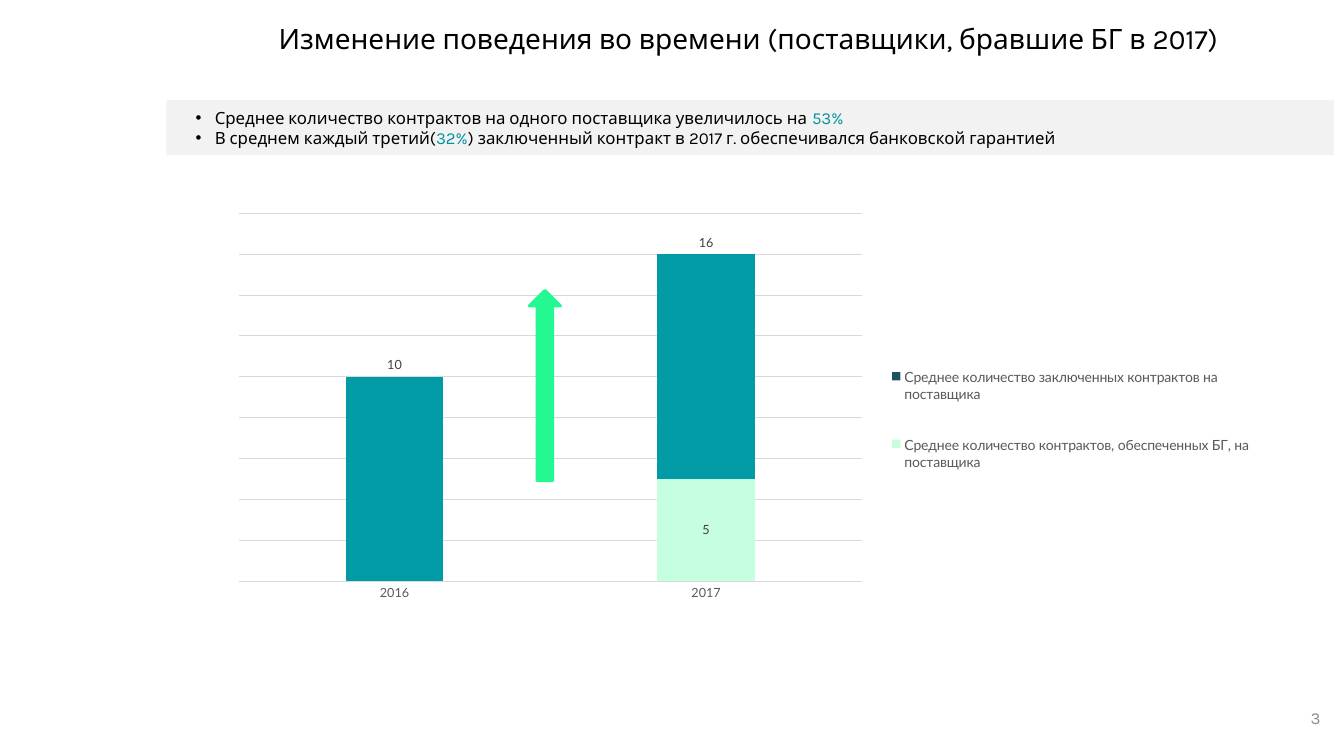
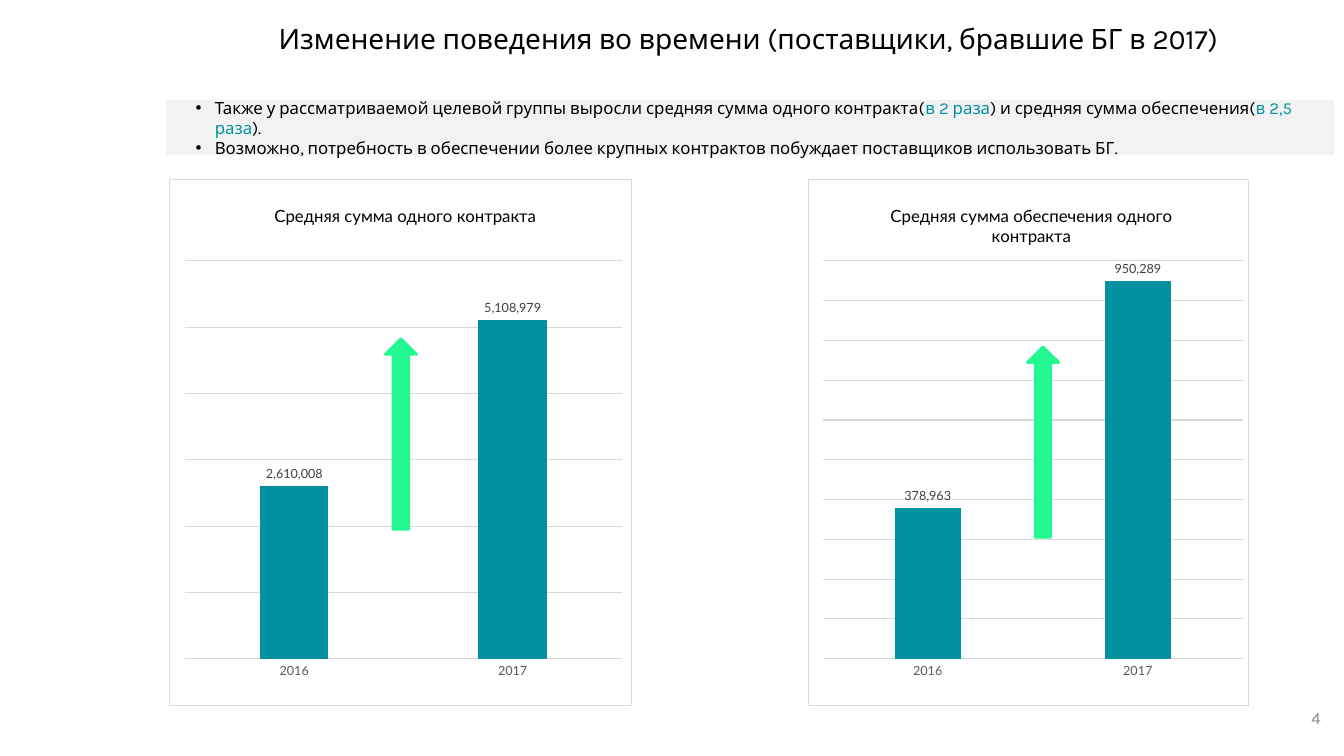
from lxml.etree import SubElement
from pptx import Presentation
from pptx.chart.data import CategoryChartData
from pptx.dml.color import RGBColor
from pptx.enum.chart import XL_CHART_TYPE, XL_LABEL_POSITION, XL_LEGEND_POSITION, XL_TICK_MARK
from pptx.enum.shapes import MSO_SHAPE
from pptx.enum.text import MSO_ANCHOR, MSO_AUTO_SIZE, PP_ALIGN
from pptx.oxml import parse_xml
from pptx.oxml.ns import nsdecls, qn
from pptx.util import Inches, Pt

color = RGBColor.from_string
TEXT_FONT, CHART_FONT = "Karla", "Lato"
BLACK, GRAY, LABEL, NUMBER = "000000", "595959", "404040", "8C8C8C"
BAND, RULE = "F2F2F2", "D9D9D9"
TEAL, BRIGHT_TEAL, NAVY, MINT, GREEN = "0291A0", "009BA5", "1E5260", "C5FFDF", "24F893"

TITLE = "Изменение поведения во времени (поставщики, бравшие БГ в 2017)"
FIRST_NUMBER = 3

# Text between bars is accented. Places are percentages of the slide.
PAGES = [
    {
        "points": [
            "Среднее количество контрактов на одного поставщика увеличилось на |53%|",
            "В среднем каждый третий(|32%|) заключенный контракт в 2017 г. "
            "обеспечивался банковской гарантией",
        ],
        "charts": [{
            "at": (15.15, 25.87, 79.14, 56),
            "plot": (0.033, 0.042, 0.586, 0.869),
            "series": [
                ("Среднее количество заключенных контрактов на поставщика", (10, 16), NAVY),
                ("Среднее количество контрактов, обеспеченных БГ, на поставщика", (None, 5), MINT),
            ],
            "top": 18, "step": 2,
        }],
        "arrows": [(39.38, 38.4)],
    },
    {
        "points": [
            "Также у рассматриваемой целевой группы выросли средняя сумма одного контракта("
            "|в 2 раза|) и средняя сумма обеспечения(|в 2,5 раза|).",
            "Возможно, потребность в обеспечении более крупных контрактов побуждает "
            "поставщиков использовать БГ.",
        ],
        "charts": [
            {
                "at": (12.6, 23.73, 34.43, 69.6),
                "plot": (0.033, 0.154, 0.946, 0.758),
                "title": "Средняя сумма одного контракта", "title_at": (0.22, 0.04),
                "series": [("Сумма контракта", (2610008, 5108979), TEAL)],
                "top": 6000000, "step": 1000000,
            },
            {
                "at": (60.09, 23.73, 32.86, 69.6),
                "plot": (0.033, 0.154, 0.954, 0.758),
                "title": "Средняя сумма обеспечения одного контракта", "title_at": (0.18, 0.04),
                "series": [("Сумма обеспечения", (378963, 950289), TEAL)],
                "top": 1000000, "step": 100000,
            },
        ],
        "arrows": [(28.66, 44.8), (76.44, 45.87)],
    },
]

deck = Presentation()
deck.slide_width, deck.slide_height = Inches(13.33), Inches(7.5)


def spot(left, top, width, height):
    """Turn percentages of the slide into lengths."""
    return [int(side * share / 100) for side, share in zip(
        (deck.slide_width, deck.slide_height) * 2, (left, top, width, height))]


def set_layout(element, index, *shares, inner=False):
    """Fix the place of a chart part; shares are x, y and optionally w, h."""
    for old in element.findall(qn("c:layout")):
        element.remove(old)
    layout = parse_xml(f'<c:layout {nsdecls("c")}><c:manualLayout/></c:layout>')
    manual = layout[0]
    if inner:
        SubElement(manual, qn("c:layoutTarget")).set("val", "inner")
    for name in ("xMode", "yMode"):
        SubElement(manual, qn(f"c:{name}")).set("val", "edge")
    for name, share in zip("xywh", shares):
        SubElement(manual, qn(f"c:{name}")).set("val", str(share))
    element.insert(index, layout)


for number, content in enumerate(PAGES, FIRST_NUMBER):
    page = deck.slides.add_slide(deck.slide_layouts[1])
    title, band = page.placeholders
    number_box = page.shapes.add_textbox(*spot(75.7, 92.27, 23.3, 5.33))

    title.left, title.top, title.width, title.height = spot(12.23, 0, 86.87, 10.13)
    band.left, band.top, band.width, band.height = spot(12.38, 13.2, 86.87, 7.33)
    band.fill.solid()
    band.fill.fore_color.rgb = color(BAND)

    for box, text, size, ink, align in (
        (title, TITLE, 20, BLACK, PP_ALIGN.CENTER),
        (number_box, str(number), 12, NUMBER, PP_ALIGN.RIGHT),
    ):
        box.text_frame.text = text
        para = box.text_frame.paragraphs[0]
        para.alignment = align
        font = para.runs[0].font
        font.name, font.size, font.color.rgb = TEXT_FONT, Pt(size), color(ink)
    for box in (title, band, number_box):
        frame = box.text_frame
        frame.word_wrap = True
        frame.auto_size = MSO_AUTO_SIZE.NONE
        frame.vertical_anchor = MSO_ANCHOR.MIDDLE

    for index, point in enumerate(content["points"]):
        frame = band.text_frame
        para = frame.add_paragraph() if index else frame.paragraphs[0]
        para.space_before = Pt(0)
        properties = para._p.get_or_add_pPr()
        properties.set("marL", str(Inches(0.38)))
        properties.set("indent", str(Inches(-0.19)))
        SubElement(properties, qn("a:buFont")).set("typeface", "Arial")
        SubElement(properties, qn("a:buChar")).set("char", "•")
        for part, text in enumerate(point.split("|")):
            if text:
                span = para.add_run()
                span.text = text
                span.font.name, span.font.size = TEXT_FONT, Pt(12)
                span.font.color.rgb = color(TEAL if part % 2 else BLACK)

    for item in content["charts"]:
        data = CategoryChartData()
        data.categories = ["2016", "2017"]
        for name, values, _ in item["series"]:
            data.add_series(name, values)
        chart = page.shapes.add_chart(
            XL_CHART_TYPE.COLUMN_CLUSTERED, *spot(*item["at"]), data).chart
        chart.font.name, chart.font.size = CHART_FONT, Pt(10)
        chart.font.color.rgb = color(BLACK)
        set_layout(chart._chartSpace.chart.plotArea, 0, *item["plot"], inner=True)

        titled = "title" in item
        chart.has_title = titled
        if titled:
            chart.chart_title.text_frame.text = item["title"]
            font = chart.chart_title.text_frame.paragraphs[0].runs[0].font
            font.name, font.size, font.bold = CHART_FONT, Pt(12), False
            font.color.rgb = color(BLACK)
            set_layout(chart.chart_title._element, 1, *item["title_at"])
        line_fill = (f'<a:solidFill><a:srgbClr val="{RULE}"/></a:solidFill>'
                     if titled else "<a:noFill/>")
        chart._chartSpace.chart.addnext(parse_xml(
            f'<c:spPr {nsdecls("c", "a")}><a:noFill/>'
            f'<a:ln w="{Pt(0.75)}">{line_fill}</a:ln></c:spPr>'))

        chart.has_legend = not titled
        if chart.has_legend:
            legend = chart.legend
            legend.position = XL_LEGEND_POSITION.RIGHT
            legend.include_in_layout = False
            legend.font.name, legend.font.size = CHART_FONT, Pt(10)
            legend.font.color.rgb = color(GRAY)
            set_layout(legend._element, 1, 0.64, 0.33, 0.35, 0.4)

        years, amounts = chart.category_axis, chart.value_axis
        years.major_tick_mark = XL_TICK_MARK.NONE
        years.tick_labels.font.name, years.tick_labels.font.size = CHART_FONT, Pt(9)
        years.tick_labels.font.color.rgb = color(GRAY)
        amounts.visible = False
        amounts.minimum_scale, amounts.maximum_scale = 0, item["top"]
        amounts.major_unit = item["step"]
        amounts.has_major_gridlines = True
        for line in (years.format.line, amounts.major_gridlines.format.line):
            line.width, line.color.rgb = Pt(0.75), color(RULE)

        plot = chart.plots[0]
        plot.vary_by_categories = False
        plot.gap_width = 219
        plot.overlap = 100 if len(item["series"]) > 1 else 0
        for series, (_, _, fill) in zip(plot.series, item["series"]):
            series.format.fill.solid()
            series.format.fill.fore_color.rgb = color(fill)
            if fill == NAVY:
                for index in range(2):
                    bar = series.points[index].format.fill
                    bar.solid()
                    bar.fore_color.rgb = color(BRIGHT_TEAL)
            labels = series.data_labels
            labels.show_value = True
            labels.number_format, labels.number_format_is_linked = "#,##0", False
            labels.position = (XL_LABEL_POSITION.CENTER if fill == MINT
                               else XL_LABEL_POSITION.OUTSIDE_END)
            labels.font.name, labels.font.size = CHART_FONT, Pt(9)
            labels.font.color.rgb = color(LABEL)

    for left, top in content["arrows"]:
        arrow = page.shapes.add_shape(MSO_SHAPE.UP_ARROW, *spot(left, top, 2.33, 25.2))
        arrow.shadow.inherit = False
        arrow.fill.solid()
        arrow.fill.fore_color.rgb = color(GREEN)
        arrow.line.width, arrow.line.color.rgb = Pt(2), color(GREEN)

deck.save("out.pptx")
